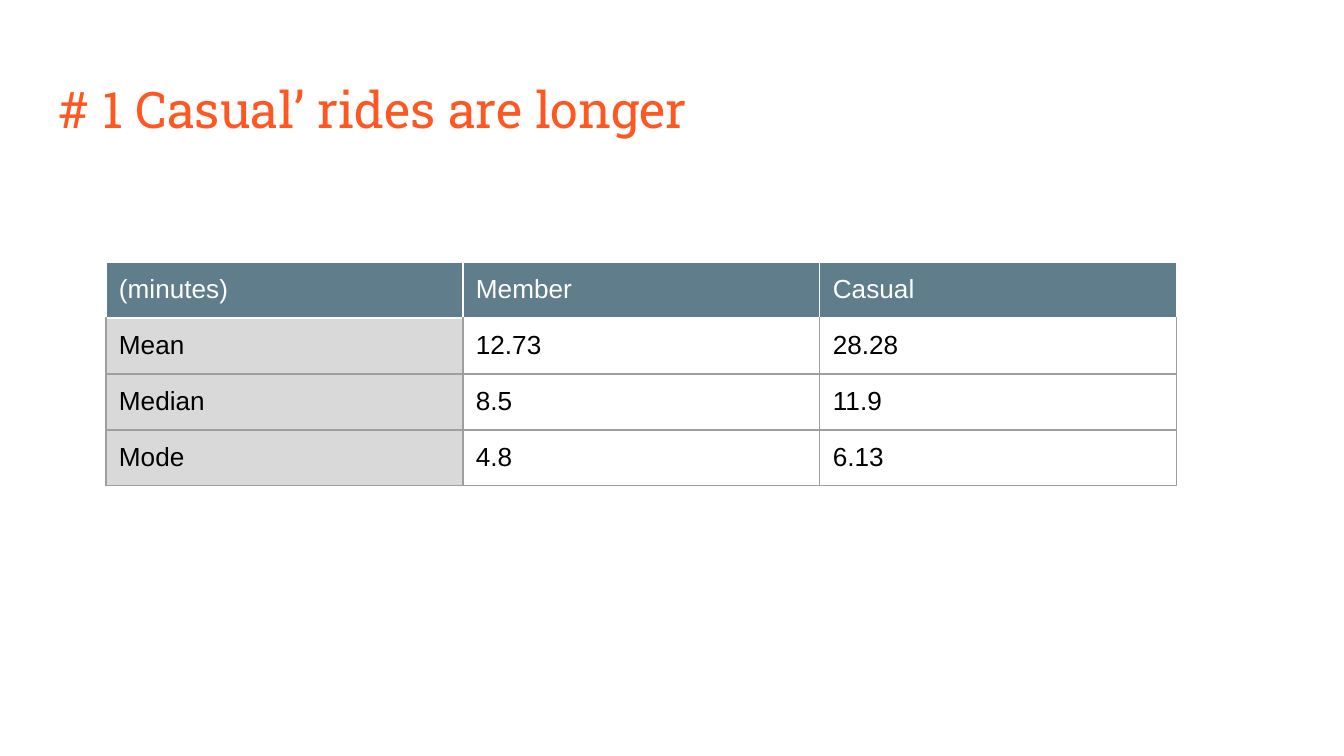
"""Build a slide with a table of ride durations by rider type."""
from lxml import etree
from pptx import Presentation
from pptx import util as u
from pptx.dml import color
from pptx.enum import text as t
from pptx.oxml import ns

TITLE = "# 1 Casual’ rides are longer"
ROWS = [
    ("(minutes)", "Member", "Casual"),
    ("Mean", "12.73", "28.28"),
    ("Median", "8.5", "11.9"),
    ("Mode", "4.8", "6.13"),
]
COLORS = {"title": "FF5722", "header": "607D8B", "label": "D9D9D9",
          "grid": "9E9E9E", "white": "FFFFFF", "black": "000000"}
SLIDE_SIZE = (1344, 756)
TITLE_BOX = (46, 66, 1253, 85)
TABLE_ORIGIN = (106, 262)
COLUMN_WIDTH, ROW_HEIGHT, INSET = 357, 56, 13
BORDER_WIDTH = u.Pt(0.75)


def px(length):
    return u.Emu(round(length * 914400 / 134.4))


def rgb(name):
    return color.RGBColor.from_string(COLORS[name])


def write(frame, content, font="Arial", size=14, ink="black"):
    frame.word_wrap = True
    frame.margin_left = frame.margin_right = px(INSET)
    frame.margin_top = frame.margin_bottom = px(INSET)
    paragraph = frame.paragraphs[0]
    paragraph.alignment = t.PP_ALIGN.LEFT
    run = paragraph.add_run()
    run.text = content
    run.font.name = font
    run.font.size = u.Pt(size)
    run.font.color.rgb = rgb(ink)


def set_borders(cell, sides):
    properties = cell._tc.get_or_add_tcPr()
    for index, (side, name) in enumerate(sides.items()):
        line = etree.Element(ns.qn(f"a:ln{side}"), w=str(BORDER_WIDTH))
        fill = etree.SubElement(line, ns.qn("a:solidFill"))
        etree.SubElement(fill, ns.qn("a:srgbClr"), val=COLORS[name])
        properties.insert(index, line)


def add_title(slide):
    title = slide.shapes.title
    title.left, title.top, title.width, title.height = map(px, TITLE_BOX)
    frame = title.text_frame
    frame.auto_size = t.MSO_AUTO_SIZE.NONE
    frame.vertical_anchor = t.MSO_ANCHOR.MIDDLE
    write(frame, TITLE, font="Roboto Slab", size=27, ink="title")


def add_duration_table(slide):
    row_count, column_count = len(ROWS), len(ROWS[0])
    table = slide.shapes.add_table(
        row_count, column_count, *map(px, TABLE_ORIGIN),
        px(COLUMN_WIDTH * column_count), px(ROW_HEIGHT * row_count)).table
    table.horz_banding = False
    for row_index, row in enumerate(ROWS):
        for column_index, content in enumerate(row):
            cell = table.cell(row_index, column_index)
            is_header = row_index == 0
            write(cell.text_frame, content, ink="white" if is_header else "black")
            cell.margin_left = cell.margin_right = px(INSET)
            cell.margin_top = cell.margin_bottom = px(INSET)
            if is_header or column_index == 0:
                cell.fill.solid()
                cell.fill.fore_color.rgb = rgb("header" if is_header else "label")
            else:
                cell.fill.background()
            edge = "white" if is_header else "grid"
            top = "white" if row_index <= 1 else "grid"
            set_borders(cell, {"L": edge, "R": edge, "T": top, "B": edge})


def main():
    presentation = Presentation()
    presentation.slide_width, presentation.slide_height = map(px, SLIDE_SIZE)
    slide = presentation.slides.add_slide(presentation.slide_layouts[5])
    slide.background.fill.solid()
    slide.background.fill.fore_color.rgb = rgb("white")
    add_title(slide)
    add_duration_table(slide)
    presentation.save("out.pptx")


if __name__ == "__main__":
    main()
